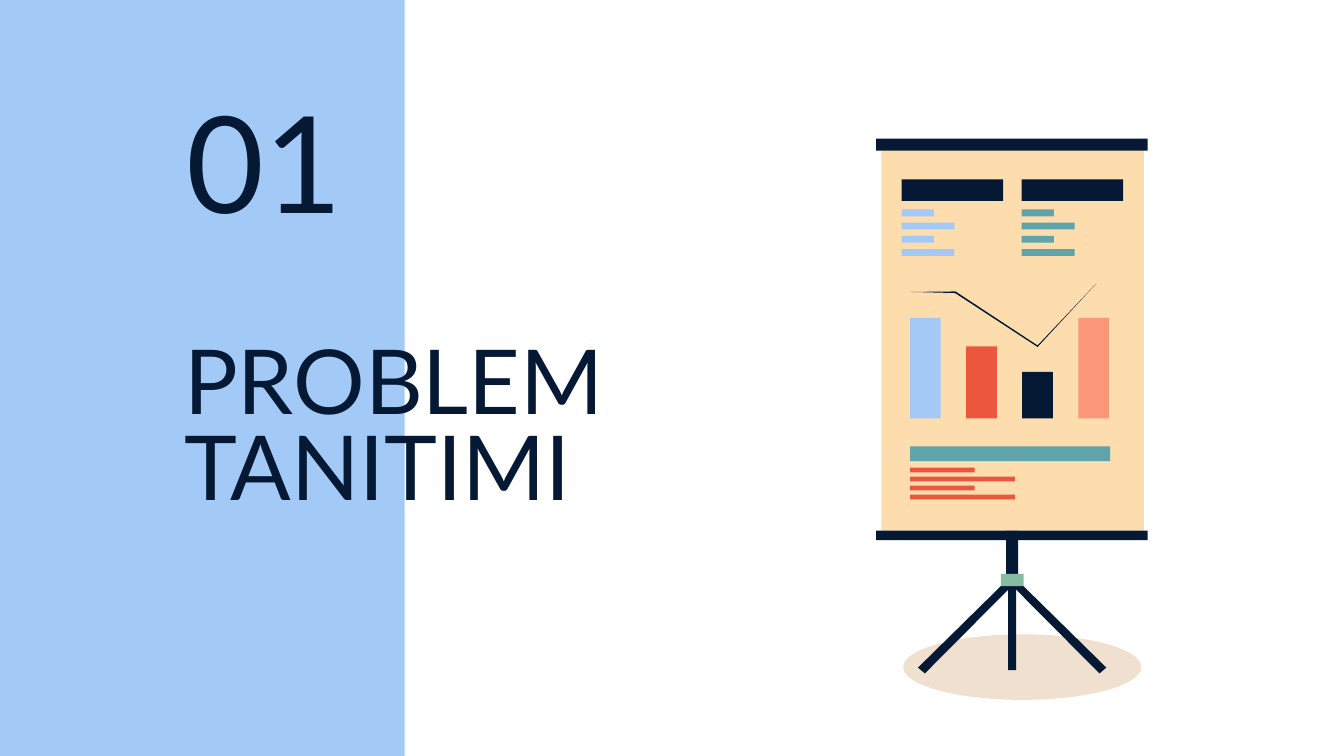
import pptx
import pptx.dml.color
import pptx.enum.shapes
import pptx.enum.text
import pptx.oxml
import pptx.oxml.ns
import pptx.util

Cm = pptx.util.Cm
RGBColor = pptx.dml.color.RGBColor
SHAPE = pptx.enum.shapes.MSO_SHAPE
ANCHOR = pptx.enum.text.MSO_ANCHOR

NAVY = RGBColor(0x05, 0x19, 0x34)
BLUE = RGBColor(0xA3, 0xCA, 0xF7)
TEAL = RGBColor(0x5F, 0xA4, 0xAB)
RED = RGBColor(0xEB, 0x57, 0x3D)
SALMON = RGBColor(0xFA, 0x97, 0x78)
CREAM = RGBColor(0xFD, 0xDC, 0xAE)
GREEN = RGBColor(0x85, 0xBC, 0xA2)
BROWN = RGBColor(0xB4, 0x5F, 0x06)


class SlideBuilder:
    """Holds the style and the page being drawn; lengths are centimetres."""

    font = "Lato"
    ink = NAVY

    def __init__(self, page):
        self.page = page
        self.target = page.shapes

    def start_group(self):
        self.target = self.page.shapes.add_group_shape().shapes

    def paint(self, shape, color):
        shape.shadow.inherit = False
        shape.fill.solid()
        shape.fill.fore_color.rgb = color
        shape.line.fill.background()
        return shape

    def block(self, left, top, width, height, color, kind=SHAPE.RECTANGLE):
        shape = self.target.add_shape(
            kind, Cm(left), Cm(top), Cm(width), Cm(height))
        return self.paint(shape, color)

    def outline(self, points, color):
        corners = [(Cm(x), Cm(y)) for x, y in points]
        builder = self.target.build_freeform(*corners[0])
        builder.add_line_segments(corners[1:], close=True)
        return self.paint(builder.convert_to_shape(), color)

    def lines(self, left, top, step, height, widths, color):
        for index, width in enumerate(widths):
            self.block(left, top + index * step, width, height, color)

    def set_opacity(self, shape, percent):
        color = shape.element.spPr.find(".//" + pptx.oxml.ns.qn("a:srgbClr"))
        alpha = pptx.oxml.parse_xml(
            "<a:alpha %s/>" % pptx.oxml.ns.nsdecls("a"))
        alpha.set("val", str(percent * 1000))
        color.append(alpha)

    def heading(self, box, place, text, size, anchor, spacing=1.0):
        box.left, box.top, box.width, box.height = map(Cm, place)
        frame = box.text_frame
        frame.word_wrap = True
        frame.auto_size = pptx.enum.text.MSO_AUTO_SIZE.NONE
        frame.vertical_anchor = anchor
        frame.margin_left = frame.margin_right = Cm(0.25)
        frame.margin_top = frame.margin_bottom = Cm(0.25)
        para = frame.paragraphs[0]
        para.alignment = pptx.enum.text.PP_ALIGN.LEFT
        para.line_spacing = spacing
        para.space_before = pptx.util.Pt(0)
        span = para.add_run()
        span.text = text
        span.font.name = self.font
        span.font.size = pptx.util.Pt(size)
        span.font.color.rgb = self.ink
        # Bring the text in front of the side panel
        self.page.shapes.element.append(box.element)


def main():
    deck = pptx.Presentation()
    deck.slide_width, deck.slide_height = Cm(25.4), Cm(14.29)
    page = deck.slides.add_slide(deck.slide_layouts[0])
    draw = SlideBuilder(page)

    # Side panel and floor shadow
    draw.block(-0.05, -0.05, 7.7, 14.35, BLUE)
    floor = draw.block(17.07, 11.99, 4.5, 1.24, BROWN, SHAPE.OVAL)
    draw.set_opacity(floor, 19)

    # Section title and number
    draw.heading(page.shapes.title, (3.23, 6.45, 10.77, 3.43),
                 "PROBLEM TANITIMI", 48, ANCHOR.MIDDLE, 0.8)
    draw.heading(page.placeholders[1], (3.28, 2.62, 6.99, 2.18),
                 "01", 72, ANCHOR.BOTTOM)

    # Tripod: the right leg mirrors the left one
    draw.start_group()
    center = 19.13
    leg = [(19.08, 10.92), (17.35, 12.62), (17.48, 12.73), (19.18, 11.02)]
    draw.outline(leg, NAVY)
    draw.outline([(2 * center - x, y) for x, y in leg], NAVY)
    for top, width, height, color in [(10.72, 0.15, 1.95, NAVY),
                                      (10.03, 0.23, 1.04, NAVY),
                                      (10.85, 0.43, 0.23, GREEN)]:
        draw.block(center - width / 2, top, width, height, color)

    # Sheet and its rails
    draw.block(16.66, 2.84, 4.96, 7.19, CREAM)
    draw.block(16.56, 10.03, 5.13, 0.18, NAVY)
    draw.block(16.56, 2.62, 5.13, 0.23, NAVY)

    # Two text columns
    for left, color in [(17.04, BLUE), (19.31, TEAL)]:
        draw.block(left, 3.39, 1.92, 0.41, NAVY)
        draw.lines(left, 3.96, 0.25, 0.13, [0.61, 1] * 2, color)

    # Footer text
    draw.block(17.2, 8.44, 3.78, 0.28, TEAL)
    draw.lines(17.2, 8.84, 0.17, 0.09, [1.22, 1.98] * 2, RED)

    # Bars on a common base
    bars = [(1.9, BLUE), (1.36, RED), (0.88, NAVY), (1.9, SALMON)]
    for index, (height, color) in enumerate(bars):
        draw.block(17.2 + index * 1.06, 7.91 - height, 0.58, height, color)

    # Tapered trend line
    draw.outline([(20.72, 5.36), (19.61, 6.53), (18.06, 5.51), (17.2, 5.52),
                  (18.05, 5.54), (19.61, 6.56)], NAVY)

    deck.save("out.pptx")


if __name__ == "__main__":
    main()
